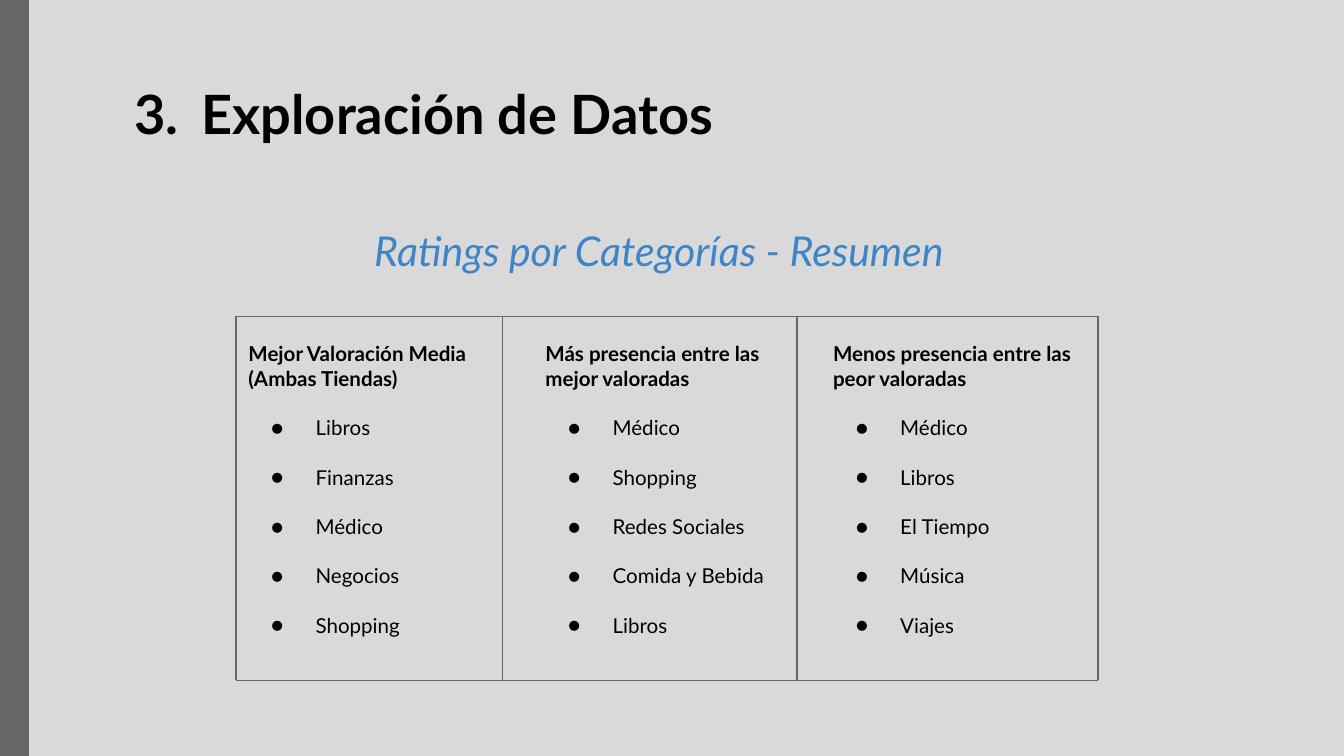
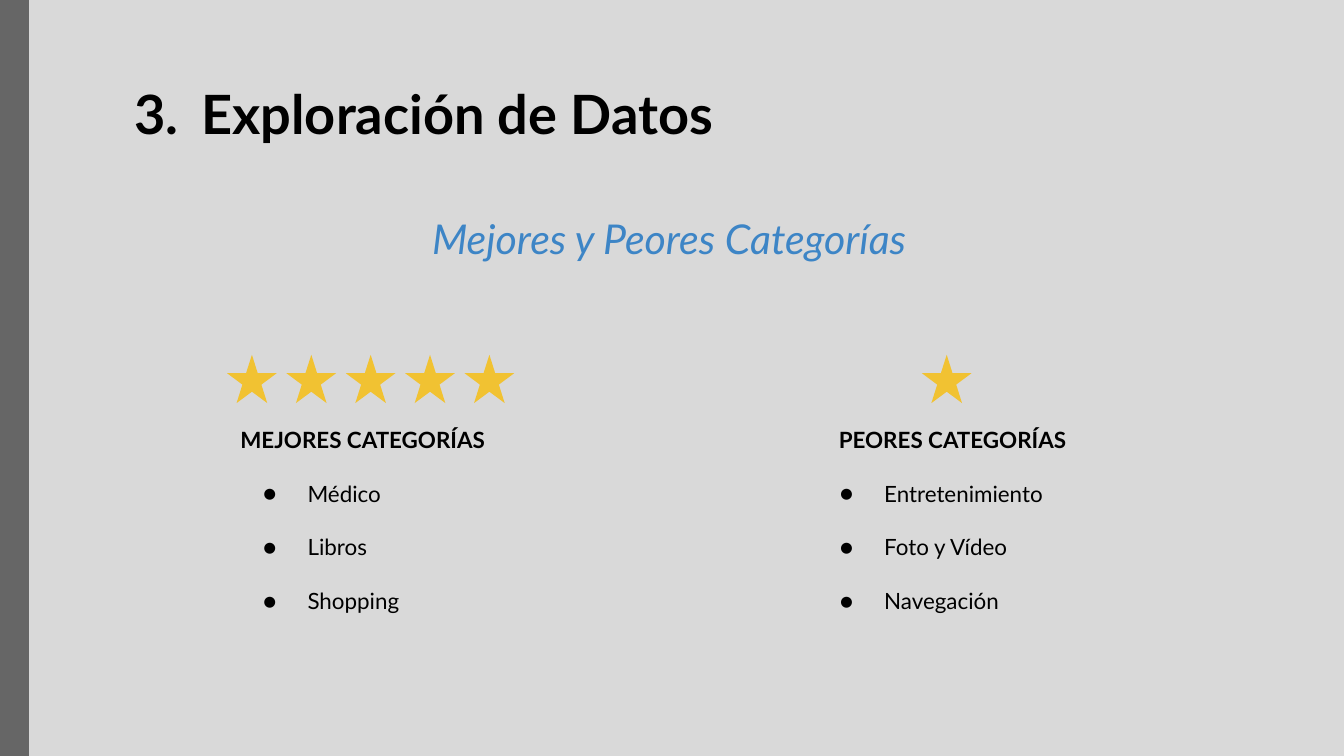
"""Build two slides on app ratings by category."""
from lxml import etree
from pptx import Presentation
from pptx.dml.color import RGBColor
from pptx.enum import shapes, text
from pptx.oxml.ns import qn
from pptx.util import Pt

FONT = "Lato"
BLACK = RGBColor(0x00, 0x00, 0x00)
GRAY = RGBColor(0x66, 0x66, 0x66)
PALE = RGBColor(0xD9, 0xD9, 0xD9)
BLUE = RGBColor(0x3D, 0x85, 0xC6)
GOLD = RGBColor(0xF1, 0xC2, 0x32)

WIDE, HIGH = 720, 405
TITLE = "3.\tExploración de Datos"

RATINGS = "Ratings por Categorías - Resumen"
COLUMNS = [
    (126, "Mejor Valoración Media (Ambas Tiendas)",
     ["Libros", "Finanzas", "Médico", "Negocios", "Shopping"]),
    (285.1, "Más presencia entre las mejor valoradas",
     ["Médico", "Shopping", "Redes Sociales", "Comida y Bebida", "Libros"]),
    (439.2, "Menos presencia entre las peor valoradas",
     ["Médico", "Libros", "El Tiempo", "Música", "Viajes"]),
]
TOP, BOTTOM = 169.5, 364.5
RULES = [126.5, 269.3, 427, 588.3]

EXTREMES = "Mejores y Peores Categorías"
GROUPS = [
    (121.7, 0, "MEJORES CATEGORÍAS", ["Médico", "Libros", "Shopping"],
     121.7, 5),
    (430.6, 11.7, "PEORES CATEGORÍAS",
     ["Entretenimiento", "Foto y Vídeo", "Navegación"], 493.9, 1),
]
STAR_W, STAR_H, STEP = 26.6, 25.9, 31.8


def style(para, size, color=BLACK, bold=False, italic=False):
    """Set the font of a paragraph."""
    font = para.font
    font.name, font.size = FONT, Pt(size)
    font.bold, font.italic = bold, italic
    font.color.rgb = color


def add_box(slide, left, top, width, height):
    """Add an empty wrapping text box and return its frame."""
    box = slide.shapes.add_textbox(Pt(left), Pt(top), Pt(width), Pt(height))
    frame = box.text_frame
    frame.word_wrap = True
    frame.auto_size = text.MSO_AUTO_SIZE.SHAPE_TO_FIT_TEXT
    for side in ("left", "top", "right", "bottom"):
        setattr(frame, f"margin_{side}", Pt(7.2))
    return frame


def add_shape(slide, kind, color, left, top, width, height):
    """Add a plain filled shape."""
    shape = slide.shapes.add_shape(
        kind, Pt(left), Pt(top), Pt(width), Pt(height))
    shape.shadow.inherit = False
    shape.fill.solid()
    shape.fill.fore_color.rgb = color
    shape.line.fill.background()


def add_line(slide, *ends):
    """Add a thin gray line from x, y to x, y."""
    line = slide.shapes.add_connector(
        shapes.MSO_CONNECTOR.STRAIGHT, *map(Pt, ends))
    line.line.color.rgb = GRAY
    line.line.width = Pt(0.75)
    etree.SubElement(line._element.spPr, qn("a:effectLst"))


def indent(para, left, first=0):
    """Set the left and first-line indents of a paragraph."""
    props = para._p.get_or_add_pPr()
    props.set("marL", str(Pt(left)))
    props.set("indent", str(Pt(first)))
    return props


def add_list(slide, left, top, height, size, head, items, inset=0):
    """Add a bold heading over bullets set one line apart."""
    frame = add_box(slide, left, top, 154.1, height)
    para = frame.paragraphs[0]
    para.text = head
    style(para, size, bold=True)
    indent(para, inset)
    for item in items:
        para = frame.add_paragraph()
        para.text = item
        para.space_before = Pt(size * 1.2)
        style(para, size)
        props = indent(para, 36, -23.75)
        etree.SubElement(props, qn("a:buFont")).set("typeface", FONT)
        etree.SubElement(props, qn("a:buChar")).set("char", "●")


def add_slide(prs, subtitle, top, right=7.2):
    """Add a slide with side band, title and subtitle."""
    slide = prs.slides.add_slide(prs.slide_layouts[6])
    slide.background.fill.solid()
    slide.background.fill.fore_color.rgb = PALE
    add_shape(slide, shapes.MSO_SHAPE.RECTANGLE, GRAY, -6.5, 0, 22, HIGH)
    para = add_box(slide, 64.8, 36, 589, 49.7).paragraphs[0]
    para.text = TITLE
    style(para, 29, bold=True)
    frame = add_box(slide, 152.6, top, 411.8, 41)
    frame.margin_right = Pt(right)
    para = frame.paragraphs[0]
    para.text = subtitle
    para.alignment = text.PP_ALIGN.CENTER
    style(para, 22, BLUE, italic=True)
    return slide


def main():
    """Build and save the deck."""
    prs = Presentation()
    prs.slide_width, prs.slide_height = Pt(WIDE), Pt(HIGH)

    slide = add_slide(prs, RATINGS, 113.8, 18)
    for left, head, items in COLUMNS:
        add_list(slide, left, 175.7, 174.2, 11, head, items)
    for y in (TOP, BOTTOM):
        add_line(slide, RULES[0], y, RULES[-1], y)
    for x in RULES:
        add_line(slide, x, TOP, x, BOTTOM)

    slide = add_slide(prs, EXTREMES, 107.3)
    for left, inset, head, items, start, count in GROUPS:
        add_list(slide, left, 221, 145.4, 12, head, items, inset)
        for i in range(count):
            add_shape(slide, shapes.MSO_SHAPE.STAR_5_POINT, GOLD,
                      start + i * STEP, 190.1, STAR_W, STAR_H)

    prs.save("out.pptx")


if __name__ == "__main__":
    main()
